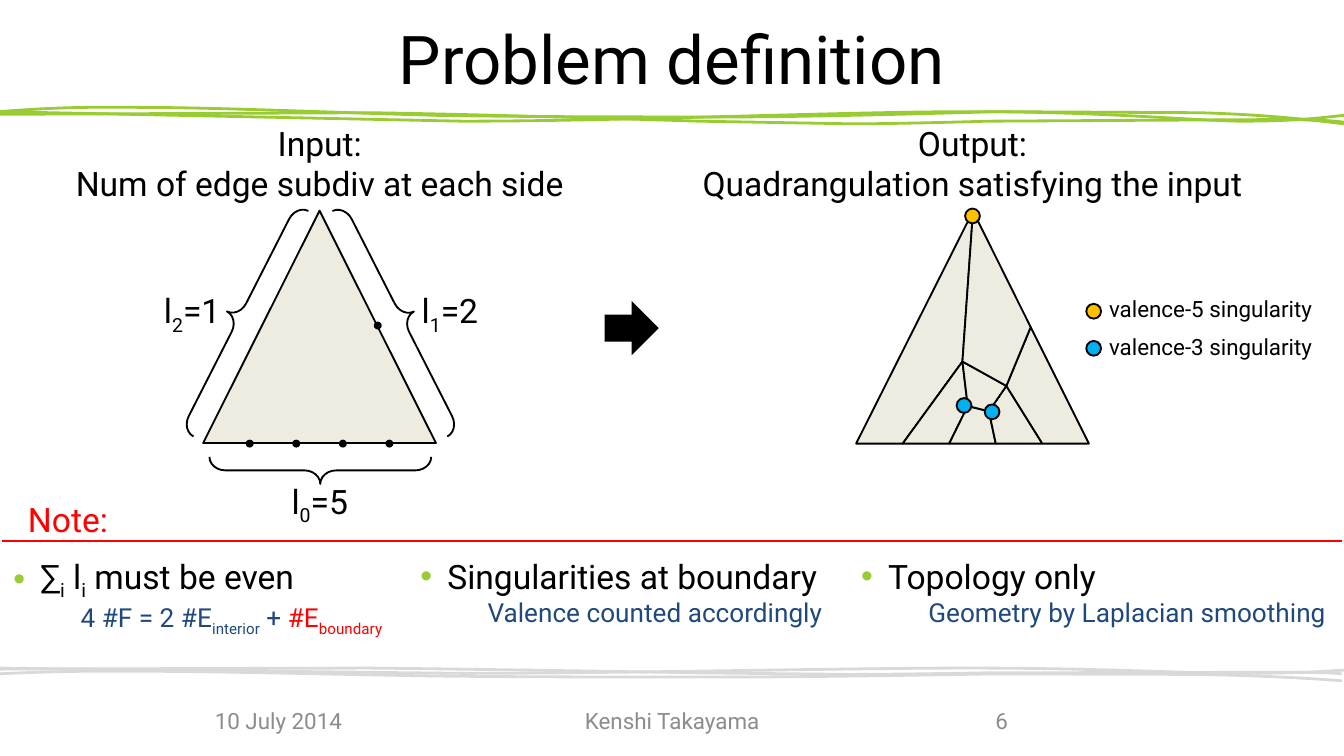
import lxml.etree
import pptx
import pptx.dml.color
import pptx.enum.shapes
import pptx.enum.text
import pptx.oxml.ns
import pptx.util

Cm = pptx.util.Cm
Pt = pptx.util.Pt
Kind = pptx.enum.shapes.MSO_SHAPE
Side = pptx.enum.text.PP_ALIGN
Anchor = pptx.enum.text.MSO_ANCHOR
Fit = pptx.enum.text.MSO_AUTO_SIZE
qn = pptx.oxml.ns.qn
Hue = pptx.dml.color.RGBColor.from_string


class Theme:
    face = "Roboto"
    ink = Hue("000000")
    green = Hue("99CC33")
    grey = Hue("D9D9D9")
    faint = Hue("8C8C8C")
    sand = Hue("EEECE1")
    blue = Hue("00B0F0")
    gold = Hue("FFC000")
    navy = Hue("1F497D")
    red = Hue("FF0000")
    head, main, sub, small = Pt(36), Pt(18), Pt(14), Pt(12)
    thin, wave = Pt(1), Pt(1.5)


def paint(shape, fill, line=None, width=Theme.thin):
    shape.shadow.inherit = False
    if fill is None:
        shape.fill.background()
    else:
        shape.fill.solid()
        shape.fill.fore_color.rgb = fill
    if line is None:
        shape.line.fill.background()
    else:
        shape.line.color.rgb = line
        shape.line.width = width
    return shape


def write(para, words, size, hue=Theme.ink, side=Side.LEFT):
    para.alignment = side
    para.space_before = Pt(0)
    para.font.name = Theme.face
    para.font.size = size
    para.font.bold = False
    if hue is not None:
        para.font.color.rgb = hue
    for i, part in enumerate(words.split("|")):
        if part:
            run = para.add_run()
            run.text = part
            if i % 2:
                run._r.get_or_add_rPr().set("baseline", "-25000")


deck = pptx.Presentation()
deck.slide_width, deck.slide_height = Cm(25.4), Cm(14.28)
slide = deck.slides.add_slide(deck.slide_layouts[4])
shapes = slide.shapes
unit = Cm(0.01)

waves = [
    (1262, (-2, 211), [
        [(874, 229)],
        [(1181, 229), (1593, 211), (1836, 211)],
        [(2080, 211), (2225, 226), (2342, 229)],
        [(2459, 229), (2507, 221), (2540, 218)],
        [(2573, 218), (2555, 218), (2537, 218)]]),
    (1273, (-2, 211), [
        [(66, 206), (132, 201), (269, 203)],
        [(409, 203), (640, 213), (826, 218)],
        [(1008, 221), (1204, 221), (1379, 221)],
        [(1554, 221), (1880, 211), (1880, 211)],
        [(2266, 213)],
        [(2375, 216), (2459, 224), (2540, 234)]]),
    (1264, (-5, 216), [
        [(698, 213)],
        [(919, 216), (1321, 229), (1321, 229)],
        [(1610, 234)],
        [(1702, 234), (1867, 229), (1867, 229)],
        [(2395, 226)],
        [(2507, 226), (2525, 229), (2540, 231)]]),
]
for hue, low in ((Theme.green, False), (Theme.grey, True)):
    for base, start, parts in waves:
        track = [start] + [knot for part in parts for knot in part]
        if low:
            track = [(x - 4, base + 0.57 * (y - start[1])) for x, y in track]
        pen = shapes.build_freeform(*track[0], scale=unit)
        pen.add_line_segments(track[1:], close=False)
        wave = paint(pen.convert_to_shape(), None, hue, Theme.wave)
        steps = list(wave._element.iter(qn("a:lnTo")))
        for part in parts:
            group, steps = steps[:len(part)], steps[len(part):]
            if len(group) == 3:
                curve = lxml.etree.Element(qn("a:cubicBezTo"))
                group[0].addprevious(curve)
                for step in group:
                    curve.append(step[0])
                    step.getparent().remove(step)

title = shapes.title
title.left, title.top, title.width, title.height = Cm(1.27), Cm(0.57), Cm(22.86), Cm(1.02)
title.text_frame.vertical_anchor = Anchor.MIDDLE
title.text_frame.auto_size = Fit.NONE
write(title.text_frame.paragraphs[0], "Problem definition", Theme.head, side=Side.CENTER)

floor = [(1618 + 88 * i, 838) for i in range(6)]
peak, edge = (1839, 399), (1948, 618)
hub, west, east, bend = (1819, 683), (1829, 767), (1869, 777), (1902, 729)
cells = [
    (floor[0], floor[1], hub, peak),
    (floor[1], floor[2], west, hub),
    (floor[2], floor[3], east, west),
    (floor[3], floor[4], bend, east),
    (floor[4], floor[5], edge, bend),
    (hub, west, east, bend),
    (bend, edge, peak, hub),
]
for cell in cells:
    pen = shapes.build_freeform(*cell[0], scale=unit)
    pen.add_line_segments(cell[1:], close=True)
    paint(pen.convert_to_shape(), Theme.sand, Theme.ink)

paint(shapes.add_shape(Kind.ISOSCELES_TRIANGLE, Cm(3.84), Cm(3.98), Cm(4.4), Cm(4.39)),
      Theme.sand, Theme.ink)
for x, y, tall, turn in ((5.8, 6.79, 4.19, 270), (7.34, 3.61, 4.78, 153), (4.26, 3.61, 4.78, 27)):
    brace = paint(shapes.add_shape(Kind.LEFT_BRACE, Cm(x), Cm(y), Cm(0.51), Cm(tall)),
                  None, Theme.ink)
    brace.rotation = turn
    brace.adjustments[0] = 0.59
paint(shapes.add_shape(Kind.RIGHT_ARROW, Cm(11.43), Cm(5.69), Cm(1.02), Cm(1.02)), Theme.ink)

dots = [(4.72 + 0.88 * i, 8.38, 0.15, Theme.ink, None) for i in range(4)]
dots.append((7.14, 6.15, 0.15, Theme.ink, None))
dots += [(x, y, 0.28, hue, Theme.ink) for x, y, hue in (
    (18.75, 7.78, Theme.blue), (18.38, 4.08, Theme.gold), (18.22, 7.66, Theme.blue),
    (20.67, 6.58, Theme.blue), (20.67, 5.88, Theme.gold))]
for x, y, size, fill, line in dots:
    paint(shapes.add_shape(Kind.OVAL, Cm(x - size / 2), Cm(y - size / 2), Cm(size), Cm(size)),
          fill, line)

rule = shapes.add_connector(pptx.enum.shapes.MSO_CONNECTOR.STRAIGHT,
                            Cm(0.03), Cm(10.22), Cm(25.37), Cm(10.22))
rule.line.color.rgb = Theme.red
rule.line.width = Theme.thin
lxml.etree.SubElement(rule._element.spPr, qn("a:effectLst"))

labels = [
    (1.13, 2.2, 9.83, 1.8, ["Input:", "Num of edge subdiv at each side"],
     Theme.main, Theme.ink, Side.CENTER),
    (12.88, 2.2, 11, 1.8, ["Output:", "Quadrangulation satisfying the input"],
     Theme.main, Theme.ink, Side.CENTER),
    (5.26, 8.95, 1.6, 1.02, ["l|0|=5"], Theme.main, Theme.ink, Side.LEFT),
    (7.72, 5.36, 1.6, 1.02, ["l|1|=2"], Theme.main, Theme.ink, Side.LEFT),
    (2.85, 5.36, 1.6, 1.02, ["l|2|=1"], Theme.main, Theme.ink, Side.LEFT),
    (0.28, 9.3, 2.11, 1.02, ["Note:"], Theme.main, Theme.red, Side.LEFT),
    (20.71, 5.45, 4.47, 0.76, ["valence-5 singularity"], Theme.small, Theme.ink, Side.LEFT),
    (20.71, 6.16, 4.47, 0.76, ["valence-3 singularity"], Theme.small, Theme.ink, Side.LEFT),
    (3.81, 13.23, 3.35, 0.76, ["10 July 2014"], Theme.small, Theme.faint, Side.LEFT),
    (9.96, 13.23, 5.49, 0.76, ["Kenshi Takayama"], Theme.small, Theme.faint, Side.CENTER),
    (17.65, 13.23, 1.65, 0.76, ["6"], Theme.small, Theme.faint, Side.RIGHT),
]
for x, y, wide, tall, lines, size, hue, side in labels:
    frame = shapes.add_textbox(Cm(x), Cm(y), Cm(wide), Cm(tall)).text_frame
    foot = hue == Theme.faint
    frame.word_wrap = foot
    frame.auto_size = Fit.NONE if foot else Fit.SHAPE_TO_FIT_TEXT
    frame.vertical_anchor = Anchor.MIDDLE if foot else Anchor.TOP
    for i, line in enumerate(lines):
        write(frame.add_paragraph() if i else frame.paragraphs[0], line, size, hue, side)

notes = [
    (0, 7.85, "∑|i| l|i| must be even", "4 #F = 2 #E|interior| + ||#E|boundary"),
    (7.69, 8.18, "Singularities at boundary", "Valence counted accordingly"),
    (16.02, 9.37, "Topology only", "Geometry by Laplacian smoothing"),
]
for mark, (x, wide, point, more) in enumerate(notes, 1):
    body = slide.placeholders[mark]
    body.left, body.top, body.width, body.height = Cm(x), Cm(10.37), Cm(wide), Cm(1.63)
    frame = body.text_frame
    frame.word_wrap = False
    frame.auto_size = Fit.SHAPE_TO_FIT_TEXT
    frame.vertical_anchor = Anchor.TOP
    first, second = frame.paragraphs[0], frame.add_paragraph()
    second.level = 1
    for para, inset, hang in ((first, 0.51, -0.51), (second, 1.27, 0)):
        props = para._p.get_or_add_pPr()
        props.set("marL", str(Cm(inset)))
        props.set("indent", str(Cm(hang)))
    props = first._p.pPr
    tint = lxml.etree.SubElement(props, qn("a:buClr"))
    lxml.etree.SubElement(tint, qn("a:srgbClr")).set("val", str(Theme.green))
    lxml.etree.SubElement(props, qn("a:buFont")).set("typeface", "Arial")
    lxml.etree.SubElement(props, qn("a:buChar")).set("char", "•")
    lxml.etree.SubElement(second._p.pPr, qn("a:buNone"))
    write(first, point, Theme.main)
    mixed = "||" in more
    write(second, more, Theme.sub, None if mixed else Theme.navy)
    if mixed:
        for i, run in enumerate(second.runs):
            run.font.color.rgb = Theme.navy if i < 3 else Theme.red

spare = slide.placeholders[4]._element
spare.getparent().remove(spare)

deck.save("out.pptx")
